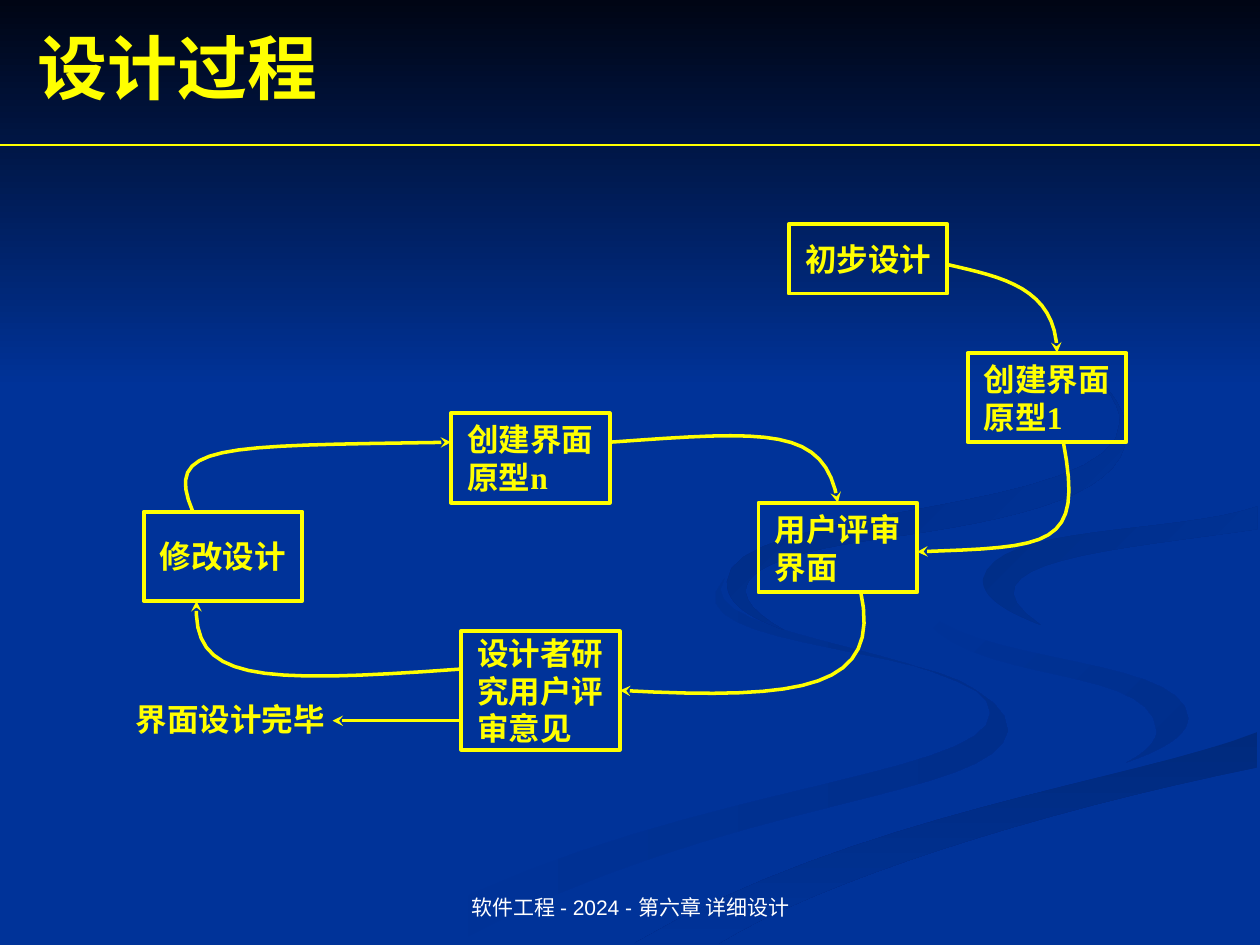
import pptx
import pptx.util
import pptx.dml.color
import pptx.enum.shapes
import pptx.enum.text
import pptx.oxml

Pt = pptx.util.Pt
hue = pptx.dml.color.RGBColor.from_string
mark = pptx.oxml.ns.qn
anchor = pptx.enum.text.MSO_ANCHOR
align = pptx.enum.text.PP_ALIGN
kind = pptx.enum.shapes.MSO_SHAPE
wire = pptx.enum.shapes.MSO_CONNECTOR.STRAIGHT
YELLOW, BLUE, WHITE = "FFFF00", "003399", "FFFFFF"
SERIF = "Times New Roman"

# Grid of 100 columns by 75 rows
deck = pptx.Presentation()
deck.slide_width, deck.slide_height = pptx.util.Inches(10), pptx.util.Inches(7.5)
U = deck.slide_width // 100
STEPS = 16
slide = deck.slides.add_slide(deck.slide_layouts[6])
shapes = slide.shapes
slide.background.fill.solid()
slide.background.fill.fore_color.rgb = hue(BLUE)


def trace(chains, close):
    """Draw chains of Bezier curves, each a start followed by triples."""
    dots = []
    for chain in chains:
        dots.append(chain[0])
        for i in range(0, len(chain) - 1, 3):
            for t in (n / STEPS for n in range(1, STEPS + 1)):
                s = 1 - t
                parts = (s ** 3, 3 * t * s * s, 3 * t * t * s, t ** 3)
                dots.append([sum(w * v for w, v in zip(parts, axis))
                             for axis in zip(*chain[i:i + 4])])
    dots = [(x * U, y * U) for x, y in dots]
    pen = shapes.build_freeform(*dots[0])
    pen.add_line_segments(dots[1:], close=close)
    return pen.convert_to_shape()


def write(shape, words, size, font, color, pad, place, side=align.LEFT):
    frame = shape.text_frame
    frame.word_wrap = True
    frame.vertical_anchor = place
    frame.margin_left, frame.margin_right = (round(p * U) for p in pad)
    para = frame.paragraphs[0]
    para.text = words
    para.alignment = side
    para.font.size, para.font.name = Pt(size), font
    para.font.bold = font == SERIF
    para.font.color.rgb = hue(color)


# Background ribbons: first colour, last colour, clockwise angle, edges
ribbons = [
    (BLUE, "002E8B", 0, [
        [(57.5, 45.9), (52, 52), (78.6, 51), (78.6, 56.6), (78.6, 62), (50, 62.5), (30, 74.9)],
        [(36, 74.9), (58, 63), (79, 63.5), (80, 58), (80, 51.5), (54, 51), (57.5, 45.9)]]),
    (BLUE, "002E8B", 45, [
        [(72.4, 46.4), (73, 55), (91.5, 52), (91.8, 58), (91.8, 59), (90.5, 60), (89.4, 60.5)],
        [(89.4, 60.5), (92, 59.6), (94.2, 58.5), (94.3, 57), (94, 51.5), (73, 53),
         (72.4, 46.4)]]),
    ("002A7D", BLUE, 90, [
        [(57, 74.9), (65, 70), (82, 64.5), (99.8, 60.9)],
        [(99.8, 58.1), (90, 62), (68, 64.5), (50.3, 74.9)]]),
    ("002D86", BLUE, 45, [
        [(78, 46), (78, 47.5), (80, 48.6), (82.6, 49.6), (75, 44.5), (89, 43.6), (99.8, 42)],
        [(99.8, 40.2), (93, 42.5), (79, 41.5), (78, 46)]]),
    ("002B82", BLUE, 45, [
        [(76.2, 23.3), (82, 26), (89.4, 30), (89.4, 34.4), (89.4, 40), (78, 41.6), (68.3, 43),
         (60, 44.3), (56, 46.5), (62.2, 50)],
        [(62.2, 50), (59.5, 49), (57.7, 48), (57.7, 46.2), (57.7, 40), (88.9, 41), (88.9, 33.5),
         (88.9, 30), (82, 26), (76.2, 23.3)]]),
]
fades = [(trace(edges, True), *style) for *style, edges in ribbons]

# Dark band across the top
band = shapes.add_shape(kind.RECTANGLE, 0, 0, 100 * U, round(30.8 * U))
fades.append((band, "000514", BLUE, 90))

for shape, first, last, turn in fades:
    shape.shadow.inherit = False
    shape.line.fill.background()
    shape.fill.gradient()
    shape.fill.gradient_angle = (360 - turn) % 360
    for stop, color in zip(shape.fill.gradient_stops, (first, last)):
        stop.color.rgb = hue(color)

# Title, end label and footer
for words, spot, *style in [
    ("设计过程", (2, 1.4, 90, 7.7), 40, SERIF, YELLOW, (1, 1), anchor.MIDDLE),
    ("界面设计完毕", (9.8, 55.1, 17.3, 4), 18, SERIF, YELLOW, (1, 1), anchor.TOP),
    ("软件工程 - 2024 - 第六章 详细设计", (34.2, 68.3, 31.7, 5.2), 12, "Arial", WHITE, (1, 1),
     anchor.BOTTOM, align.CENTER),
]:
    write(shapes.add_textbox(*(round(n * U) for n in spot)), words, *style)

# Process boxes, all of one width
for words, x, y, high in [
    ("创建界面原型n", 35.8, 32.8, 7.1),
    ("设计者研究用户评审意见", 36.6, 50.1, 9.4),
    ("创建界面原型1", 76.8, 28, 7.1),
    ("初步设计", 62.6, 17.8, 5.5),
    ("用户评审界面", 60.2, 39.9, 7.1),
    ("修改设计", 11.4, 40.6, 7.1),
]:
    box = shapes.add_shape(kind.RECTANGLE, *(round(n * U) for n in (x, y, 12.6, high)))
    box.shadow.inherit = False
    box.fill.background()
    box.line.color.rgb = hue(YELLOW)
    box.line.width = Pt(2.25)
    box.text_frame.margin_top = box.text_frame.margin_bottom = U // 10
    write(box, words, 18, SERIF, YELLOW, (1.3, 0.2), anchor.MIDDLE)

# Curved arrows from box to box
lines = []
for curve in [
    [(75.2, 21), (79.5, 22), (83.8, 22.8), (83.9, 28)],
    [(84.4, 35.1), (86, 43.5), (83.5, 43.4), (72.8, 43.8)],
    [(68.3, 46.9), (70, 54.6), (64, 55.6), (49.2, 54.8)],
    [(36.6, 53.1), (20, 54.3), (15.2, 54), (15.6, 47.7)],
    [(15.3, 40.6), (13, 35.2), (17, 35.4), (35.8, 35.1)],
    [(48.4, 35.1), (61, 34.2), (65.5, 33.8), (66.5, 39.9)],
]:
    shape = trace([curve], False)
    shape.fill.background()
    lines.append((shape, 2, True))

# Straight arrow and title rule
for ends, width, head in [((36.6, 57.2, 26.4, 57.2), 2, True), ((0, 11.5, 100, 11.5), 0.75, False)]:
    link = shapes.add_connector(wire, *(round(n * U) for n in ends))
    lines.append((link, width, head))

# Line style and arrowheads
for shape, width, head in lines:
    shape.line.color.rgb = hue(YELLOW)
    shape.line.width = Pt(width)
    props = shape._element.spPr
    if head:
        tip = pptx.oxml.xmlchemy.OxmlElement("a:tailEnd")
        tip.set("type", "stealth")
        props.find(mark("a:ln")).append(tip)
    props.append(pptx.oxml.xmlchemy.OxmlElement("a:effectLst"))

deck.save("out.pptx")
